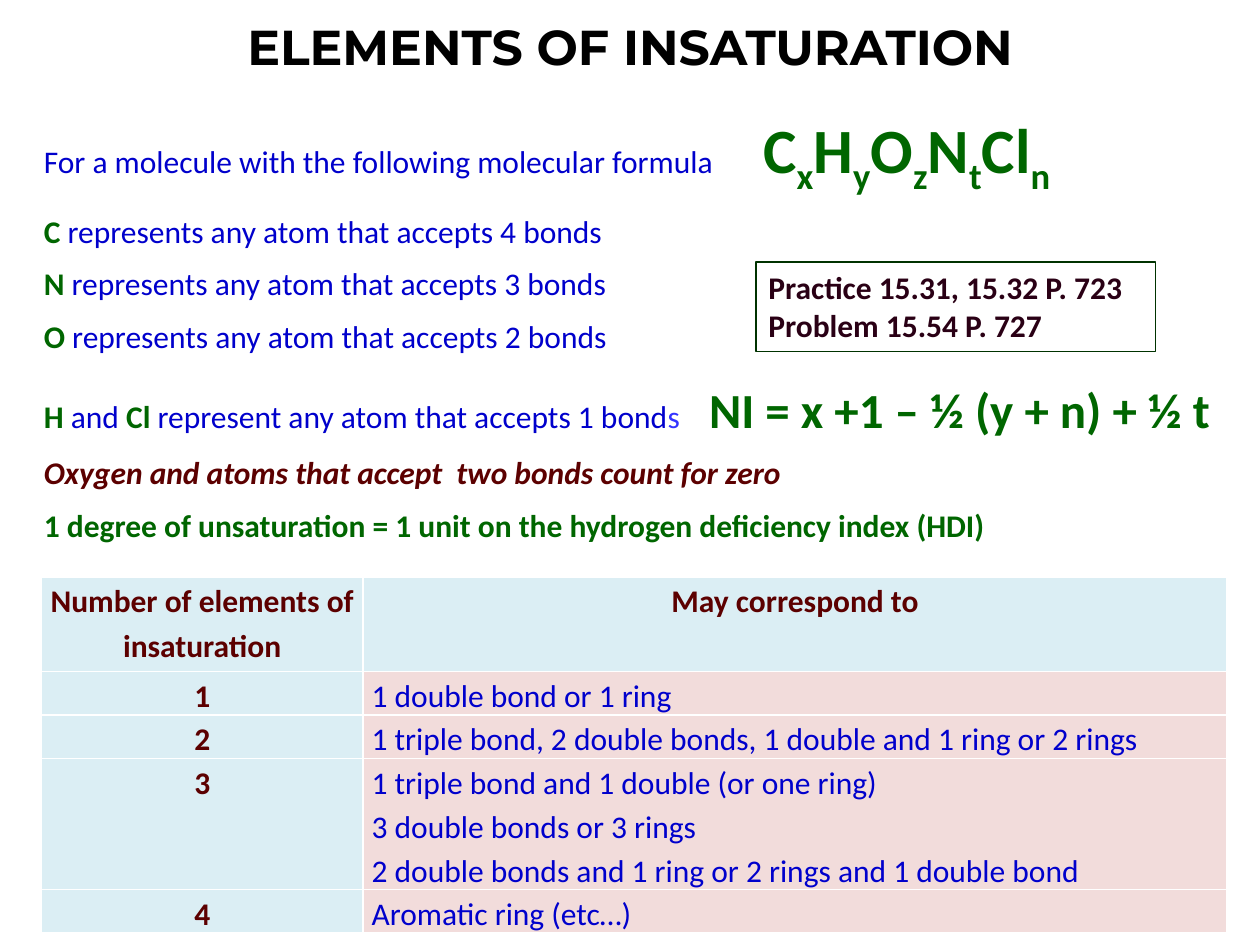
from lxml import etree
from pptx import Presentation
from pptx.dml.color import RGBColor
from pptx.enum.text import MSO_ANCHOR, PP_ALIGN
from pptx.oxml.ns import qn
from pptx.util import Inches, Pt

LEFT, CENTER = PP_ALIGN.LEFT, PP_ALIGN.CENTER
TOP = MSO_ANCHOR.TOP
BLACK = RGBColor(0x00, 0x00, 0x00)
BLUE = RGBColor(0x00, 0x00, 0xCC)
LIGHT_BLUE = RGBColor(0x33, 0x33, 0xFF)
GREEN = RGBColor(0x00, 0x66, 0x00)
DARK_GREEN = RGBColor(0x00, 0x33, 0x00)
MAROON = RGBColor(0x5C, 0x00, 0x00)
PLUM = RGBColor(0x2A, 0x00, 0x15)
PALE_BLUE = RGBColor(0xDB, 0xEE, 0xF4)
PALE_PINK = RGBColor(0xF2, 0xDC, 0xDB)

FORMULA = [("C", "x"), ("H", "y"), ("O", "z"), ("N", "t"), ("Cl", "n")]
BONDS = [("C", 4), ("N", 3), ("O", 2)]
ROWS = [
    ("Number of elements of insaturation", ["May correspond to"], 0.75),
    ("1", ["1 double bond or 1 ring"], 0.34),
    ("2", ["1 triple bond, 2 double bonds, 1 double and 1 ring or 2 rings"], 0.34),
    ("3", ["1 triple bond and 1 double (or one ring)",
           "3 double bonds or 3 rings",
           "2 double bonds and 1 ring or 2 rings and 1 double bond"], 1.04),
    ("4", ["Aromatic ring (etc…)"], 0.34),
]


def set_font(font, color, size=18, bold=False, name="Calibri"):
    """Apply typeface, size, weight and colour to a font."""
    font.name = name
    font.size = Pt(size)
    font.bold = bold
    font.color.rgb = color


def add_run(paragraph, text, color, size=18, bold=False, subscript=False):
    """Append a formatted run to a paragraph."""
    run = paragraph.add_run()
    run.text = text
    set_font(run.font, color, size, bold)
    if subscript:
        run.font._element.set("baseline", "-25000")


def add_tab_stop(paragraph, position):
    """Give a paragraph one left tab stop."""
    tabs = etree.SubElement(paragraph._p.get_or_add_pPr(), qn("a:tabLst"))
    etree.SubElement(tabs, qn("a:tab"), pos=str(position), algn="l")


def add_lines(frame, lines):
    """Write plain lines into a text frame and return their paragraphs."""
    frame.text = "\n".join(lines)
    return frame.paragraphs


def add_title(slide, left, top, width, height):
    """Place and format the title placeholder."""
    title = slide.shapes.title
    title.left, title.top, title.width, title.height = left, top, width, height
    frame = title.text_frame
    frame.text = "ELEMENTS OF INSATURATION"
    frame.vertical_anchor = TOP
    paragraph = frame.paragraphs[0]
    paragraph.alignment = CENTER
    set_font(paragraph.font, BLACK, 28, True, "Montserrat")


def add_rules(slide, left, top, width, height):
    """Add the molecular formula, the bond rules and the index equation."""
    frame = slide.shapes.add_textbox(left, top, width, height).text_frame
    frame.word_wrap = True

    formula = frame.paragraphs[0]
    add_tab_stop(formula, Inches(5.71))
    add_run(formula, "For a molecule with the following molecular formula\t", BLUE)
    for symbol, count in FORMULA:
        add_run(formula, symbol, GREEN, 36, True)
        add_run(formula, count, GREEN, 36, True, subscript=True)

    for symbol, bonds in BONDS:
        paragraph = frame.add_paragraph()
        paragraph.space_before = Pt(8.5)
        add_run(paragraph, symbol, GREEN, bold=True)
        add_run(paragraph, f" represents any atom that accepts {bonds} bonds", BLUE)

    equation = frame.add_paragraph()
    equation.space_before = Pt(14)
    add_tab_stop(equation, Inches(5.28))
    add_run(equation, "H ", GREEN, bold=True)
    add_run(equation, "and ", BLUE)
    add_run(equation, "Cl", GREEN, bold=True)
    add_run(equation, " represent any atom that accepts 1 bond", BLUE)
    add_run(equation, "s\t", LIGHT_BLUE)
    add_run(equation, "NI = x +1 – ½ (y + n) + ½ t", GREEN, 28, True)

    remarks = [
        ("Oxygen and atoms that accept  two bonds count for zero", MAROON, True),
        ("1 degree of unsaturation = 1 unit on the hydrogen deficiency index (HDI)",
         GREEN, False),
    ]
    for text, color, italic in remarks:
        paragraph = frame.add_paragraph()
        paragraph.text = text
        paragraph.space_before = Pt(8.5)
        set_font(paragraph.font, color, bold=True)
        paragraph.font.italic = italic


def fill_cell(cell, lines, fill, color, bold, alignment):
    """Write lines into a table cell and format it."""
    cell.fill.solid()
    cell.fill.fore_color.rgb = fill
    cell.margin_left = cell.margin_right = Inches(0.07)
    cell.margin_top = cell.margin_bottom = 0
    for paragraph in add_lines(cell.text_frame, lines):
        paragraph.alignment = alignment
        paragraph.line_spacing = 1.15
        set_font(paragraph.font, color, bold=bold)


def add_insaturation_table(slide, left, top, width, height):
    """Add the table of insaturation counts and matching structures."""
    table = slide.shapes.add_table(len(ROWS), 2, left, top, width, height).table
    table.horz_banding = False
    table.columns[0].width = Inches(2.55)
    table.columns[1].width = width - Inches(2.55)
    for index, (count, structures, row_height) in enumerate(ROWS):
        table.rows[index].height = Inches(row_height)
        fill_cell(table.cell(index, 0), [count], PALE_BLUE, MAROON, True, CENTER)
        if index == 0:
            style = (PALE_BLUE, MAROON, True, CENTER)
        else:
            style = (PALE_PINK, BLUE, False, LEFT)
        fill_cell(table.cell(index, 1), structures, *style)


def add_practice_box(slide, left, top, width, height):
    """Add the outlined box of practice problems."""
    box = slide.shapes.add_textbox(left, top, width, height)
    box.line.color.rgb = DARK_GREEN
    box.line.width = Pt(0.75)
    box.text_frame.word_wrap = True
    lines = ["Practice 15.31, 15.32 P. 723", "Problem 15.54 P. 727"]
    for paragraph in add_lines(box.text_frame, lines):
        set_font(paragraph.font, PLUM, bold=True)


def main():
    """Build the slide and save the presentation."""
    presentation = Presentation()
    presentation.slide_width = Inches(10)
    presentation.slide_height = Inches(7.5)
    slide = presentation.slides.add_slide(presentation.slide_layouts[5])
    add_title(slide, Inches(0.25), Inches(0.08), Inches(9.5), Inches(0.57))
    add_rules(slide, Inches(0.25), Inches(0.83), Inches(9.5), Inches(3.6))
    add_insaturation_table(slide, Inches(0.33), Inches(4.58), Inches(9.41), Inches(2.81))
    add_practice_box(slide, Inches(6), Inches(2.08), Inches(3.17), Inches(0.71))
    presentation.save("out.pptx")


if __name__ == "__main__":
    main()
